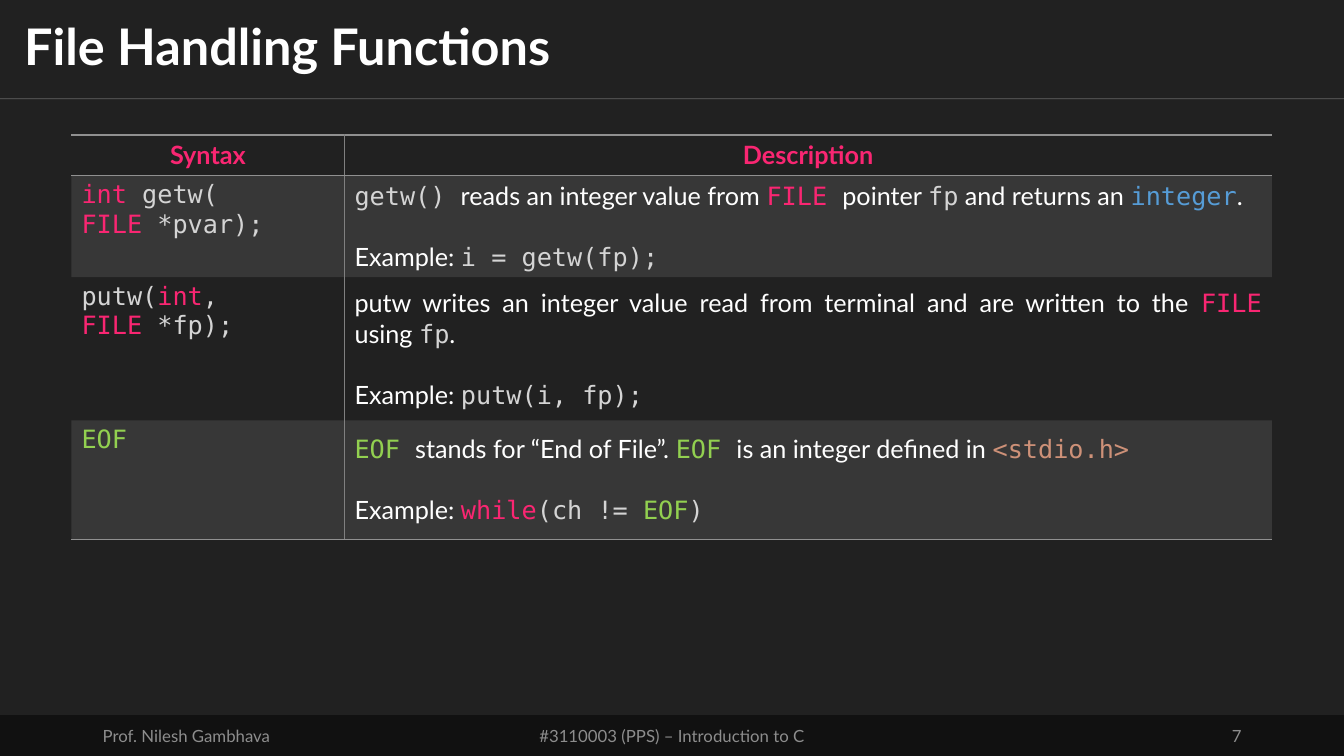
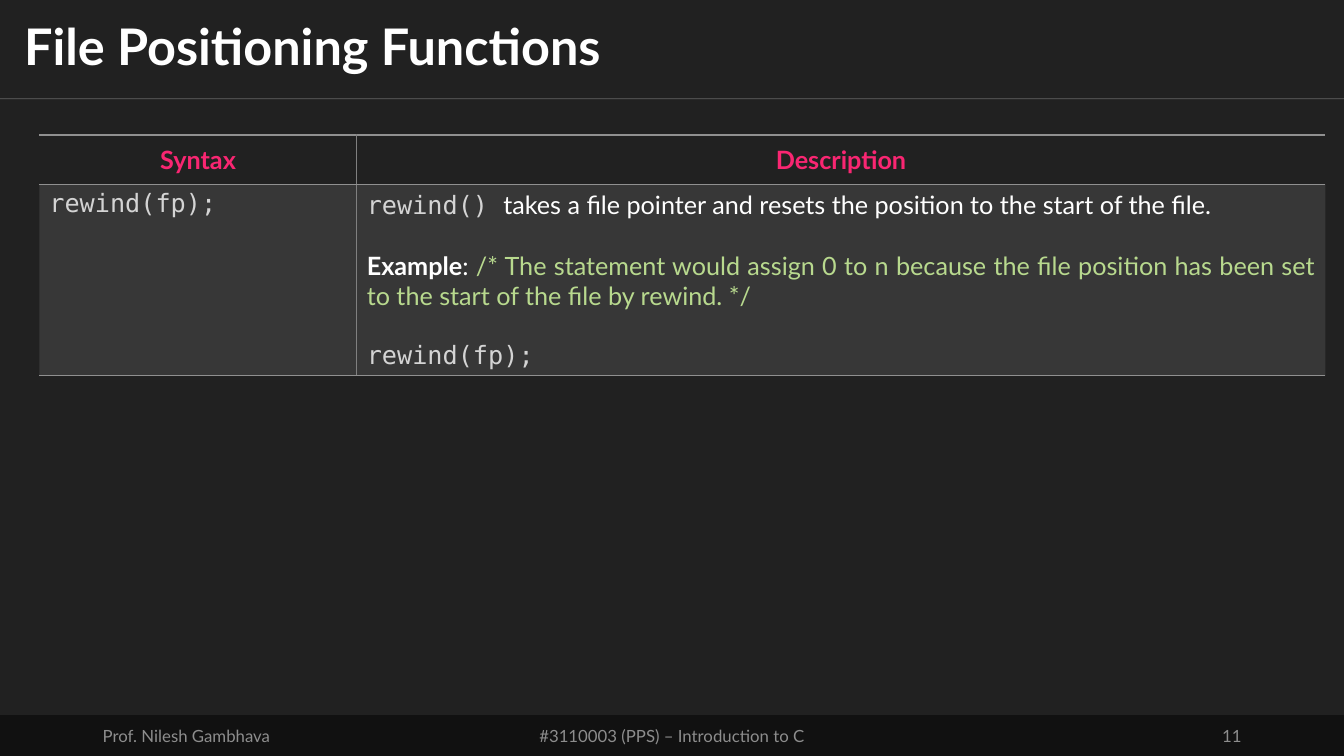
from dataclasses import dataclass
from typing import NamedTuple

import lxml.etree
import pptx
import pptx.dml.color
import pptx.enum.shapes
import pptx.enum.text
import pptx.oxml
import pptx.oxml.ns
import pptx.util

Cm = pptx.util.Cm
Pt = pptx.util.Pt
Align = pptx.enum.text.PP_ALIGN
Anchor = pptx.enum.text.MSO_ANCHOR
qn = pptx.oxml.ns.qn

COLORS = {
    "background": "212121",
    "band": "111111",
    "footer": "8D8D8D",
    "white": "FFFFFF",
    "pink": "F92672",
    "code": "D4D4D4",
    "blue": "569CD6",
    "green": "92D050",
    "comment": "B8D98E",
    "orange": "CE9178",
    "row": "909090",
    "rule": "909090",
    "divider": "808080",
}
SANS = "Lato"
MONO = "DejaVu Sans Mono"
PLAIN_TABLE_STYLE = "{2D5ABB26-0587-4C30-8999-92F81FD0307C}"
SLIDE_WIDTH, SLIDE_HEIGHT = Cm(33.87), Cm(19.05)
TITLE_HEIGHT = Cm(2.49)
FOOTER_TOP = Cm(18.02)
TABLE_TOP = Cm(3.4)
BODY_SIZE = Pt(18)
LINE_GAP = Pt(21.6)


# Content types
class Style(NamedTuple):
    font: str
    color: str
    bold: bool = False


TEXT = Style(SANS, "white")
STRONG = Style(SANS, "white", True)
HEADER = Style(SANS, "pink", True)
COMMENT = Style(SANS, "comment")
CODE = Style(MONO, "code")
KEYWORD = Style(MONO, "pink")
TYPE = Style(MONO, "blue")
CONSTANT = Style(MONO, "green")
LIBRARY = Style(MONO, "orange")


class Run(NamedTuple):
    text: str
    style: Style


@dataclass
class Line:
    runs: list[Run]
    align: Align = Align.LEFT
    gap: bool = False


@dataclass
class Row:
    height: float
    syntax: list[Line]
    description: list[Line]


@dataclass
class FunctionSlide:
    title: str
    number: int
    left: float
    widths: tuple[float, float]
    header_height: float
    rows: list[Row]


class FooterText(NamedTuple):
    text: str
    left: float
    width: float
    align: Align


SLIDES = [
    FunctionSlide("File Handling Functions", 7, 1.8, (6.88, 23.37), 1.02, [
        Row(2.56,
            [Line([Run("int ", KEYWORD), Run("getw(", CODE)]),
             Line([Run("FILE", KEYWORD), Run(" *pvar);", CODE)])],
            [Line([Run("getw() ", CODE), Run("reads an integer value from ", TEXT),
                   Run("FILE ", KEYWORD), Run("pointer ", TEXT), Run("fp", CODE),
                   Run(" and returns an ", TEXT), Run("integer", TYPE), Run(".", TEXT)]),
             Line([Run("Example: ", TEXT), Run("i = getw(fp);", CODE)], gap=True)]),
        Row(3.61,
            [Line([Run("putw(", CODE), Run("int", KEYWORD), Run(",", CODE)]),
             Line([Run("FILE", KEYWORD), Run(" *fp);", CODE)])],
            [Line([Run("putw writes an integer value read from terminal and are "
                       "written to the ", TEXT),
                   Run("FILE ", KEYWORD), Run("using ", TEXT), Run("fp", CODE),
                   Run(".", TEXT)], Align.JUSTIFY),
             Line([Run("Example: ", TEXT), Run("putw(i, fp);", CODE)], gap=True)]),
        Row(3.0,
            [Line([Run("EOF", CONSTANT)])],
            [Line([Run("EOF ", CONSTANT), Run("stands for “End of File”. ", TEXT),
                   Run("EOF ", CONSTANT), Run("is an integer defined in ", TEXT),
                   Run("<stdio.h>", LIBRARY)]),
             Line([Run("Example: ", TEXT), Run("while", KEYWORD), Run("(ch != ", CODE),
                   Run("EOF", CONSTANT), Run(")", CODE)], gap=True)]),
    ]),
    FunctionSlide("File Positioning Functions", 11, 0.99, (8.0, 24.41), 1.24, [
        Row(4.83,
            [Line([Run("rewind(fp);", CODE)])],
            [Line([Run("rewind() ", CODE),
                   Run("takes a file pointer and resets the position to the start "
                       "of the file.", TEXT)], Align.JUSTIFY),
             Line([Run("Example", STRONG), Run(": ", TEXT),
                   Run("/* The statement would assign 0 to n because the file position "
                       "has been set to the start of the file by rewind. */", COMMENT)],
                  Align.JUSTIFY, gap=True),
             Line([Run("rewind(fp);", CODE)], Align.JUSTIFY, gap=True)]),
    ]),
]


# Formatting helpers
def rgb(name: str) -> pptx.dml.color.RGBColor:
    return pptx.dml.color.RGBColor.from_string(COLORS[name])


def set_font(font, style: Style, size=None) -> None:
    font.name = style.font
    font.bold = style.bold
    font.color.rgb = rgb(style.color)
    if size is not None:
        font.size = size


def set_alpha(element, percent: int) -> None:
    """Make the first colour inside an element partly transparent."""
    color = next(element.iter(qn("a:srgbClr")))
    lxml.etree.SubElement(color, qn("a:alpha"), val=str(percent * 1000))


def set_borders(cell, **colors: str) -> None:
    """Draw the named sides (L, R, T, B) and clear the others."""
    properties = cell._tc.get_or_add_tcPr()
    for side in "LRTB":
        border = lxml.etree.SubElement(properties, qn(f"a:ln{side}"), w=str(Pt(1)))
        if side in colors:
            fill = lxml.etree.SubElement(border, qn("a:solidFill"))
            lxml.etree.SubElement(fill, qn("a:srgbClr"), val=COLORS[colors[side]])
        else:
            lxml.etree.SubElement(border, qn("a:noFill"))


def write_lines(text_frame, lines: list[Line]) -> None:
    for index, line in enumerate(lines):
        paragraph = text_frame.paragraphs[0] if index == 0 else text_frame.add_paragraph()
        paragraph.alignment = line.align
        if line.gap:
            paragraph.space_before = LINE_GAP
        uniform = len({run.style for run in line.runs}) == 1
        if uniform:
            set_font(paragraph.font, line.runs[0].style, BODY_SIZE)
        else:
            paragraph.font.size = BODY_SIZE
        for part in line.runs:
            run = paragraph.add_run()
            run.text = part.text
            if not uniform:
                set_font(run.font, part.style)


# Slide parts
def draw_title(slide, text: str) -> None:
    title = slide.shapes.title
    title.left, title.top, title.width, title.height = 0, 0, SLIDE_WIDTH, TITLE_HEIGHT
    frame = title.text_frame
    frame.margin_left = frame.margin_right = Cm(0.61)
    frame.margin_top = frame.margin_bottom = Cm(0.3)
    frame.vertical_anchor = Anchor.MIDDLE
    frame.text = text
    paragraph = frame.paragraphs[0]
    paragraph.alignment = Align.LEFT
    paragraph.line_spacing = 0.9
    set_font(paragraph.font, STRONG, Pt(36))

    rule = slide.shapes.add_connector(
        pptx.enum.shapes.MSO_CONNECTOR.STRAIGHT, 0, TITLE_HEIGHT, SLIDE_WIDTH, TITLE_HEIGHT)
    rule.line.color.rgb = rgb("white")
    rule.line.width = Pt(0.5)
    properties = rule._element.spPr
    set_alpha(properties, 30)
    lxml.etree.SubElement(properties, qn("a:effectLst"))


def draw_footer(slide, number: int) -> None:
    band = slide.shapes.add_shape(
        pptx.enum.shapes.MSO_SHAPE.RECTANGLE,
        0, FOOTER_TOP, SLIDE_WIDTH, SLIDE_HEIGHT - FOOTER_TOP)
    band.shadow.inherit = False
    band.fill.solid()
    band.fill.fore_color.rgb = rgb("band")
    band.line.fill.background()

    for item in (
        FooterText("Prof. Nilesh Gambhava", 2.34, 7.62, Align.LEFT),
        FooterText("#3110003 (PPS) – Introduction to C", 11.22, 11.43, Align.CENTER),
        FooterText(str(number), 23.92, 7.62, Align.RIGHT),
    ):
        box = slide.shapes.add_textbox(Cm(item.left), FOOTER_TOP, Cm(item.width), Cm(1.03))
        frame = box.text_frame
        frame.word_wrap = True
        frame.vertical_anchor = Anchor.MIDDLE
        frame.text = item.text
        paragraph = frame.paragraphs[0]
        paragraph.alignment = item.align
        set_font(paragraph.font, Style(SANS, "footer"), Pt(12))


def draw_table(slide, content: FunctionSlide) -> None:
    header = Row(content.header_height, *(
        [Line([Run(label, HEADER)], Align.CENTER)] for label in ("Syntax", "Description")))
    rows = [header, *content.rows]
    frame = slide.shapes.add_table(
        len(rows), 2, Cm(content.left), TABLE_TOP,
        Cm(sum(content.widths)), Cm(sum(row.height for row in rows)))
    table = frame.table
    table.first_row = table.horz_banding = False
    table._tbl.tblPr.find(qn("a:tableStyleId")).text = PLAIN_TABLE_STYLE
    for column, width in zip(table.columns, content.widths):
        column.width = Cm(width)

    for row_index, row in enumerate(rows):
        table.rows[row_index].height = Cm(row.height)
        borders = {}
        if row_index == 0:
            borders["T"] = "rule"
        if row_index in (0, len(rows) - 1):
            borders["B"] = "rule"
        if row_index == 1:
            borders["T"] = "rule"
        for column_index, lines in enumerate((row.syntax, row.description)):
            cell = table.cell(row_index, column_index)
            set_borders(cell, **borders, **{"RL"[column_index]: "divider"})
            if row_index % 2:
                cell.fill.solid()
                cell.fill.fore_color.rgb = rgb("row")
                set_alpha(cell._tc.tcPr.find(qn("a:solidFill")), 20)
            else:
                cell.fill.background()
            is_syntax = row_index > 0 and column_index == 0
            cell.vertical_anchor = Anchor.TOP if is_syntax else Anchor.MIDDLE
            write_lines(cell.text_frame, lines)


def main() -> None:
    presentation = pptx.Presentation()
    presentation.slide_width, presentation.slide_height = SLIDE_WIDTH, SLIDE_HEIGHT
    background = presentation.slide_master.background.fill
    background.solid()
    background.fore_color.rgb = rgb("background")
    title_only = presentation.slide_layouts[5]
    for content in SLIDES:
        slide = presentation.slides.add_slide(title_only)
        draw_title(slide, content.title)
        draw_footer(slide, content.number)
        draw_table(slide, content)
    presentation.save("out.pptx")


if __name__ == "__main__":
    main()
